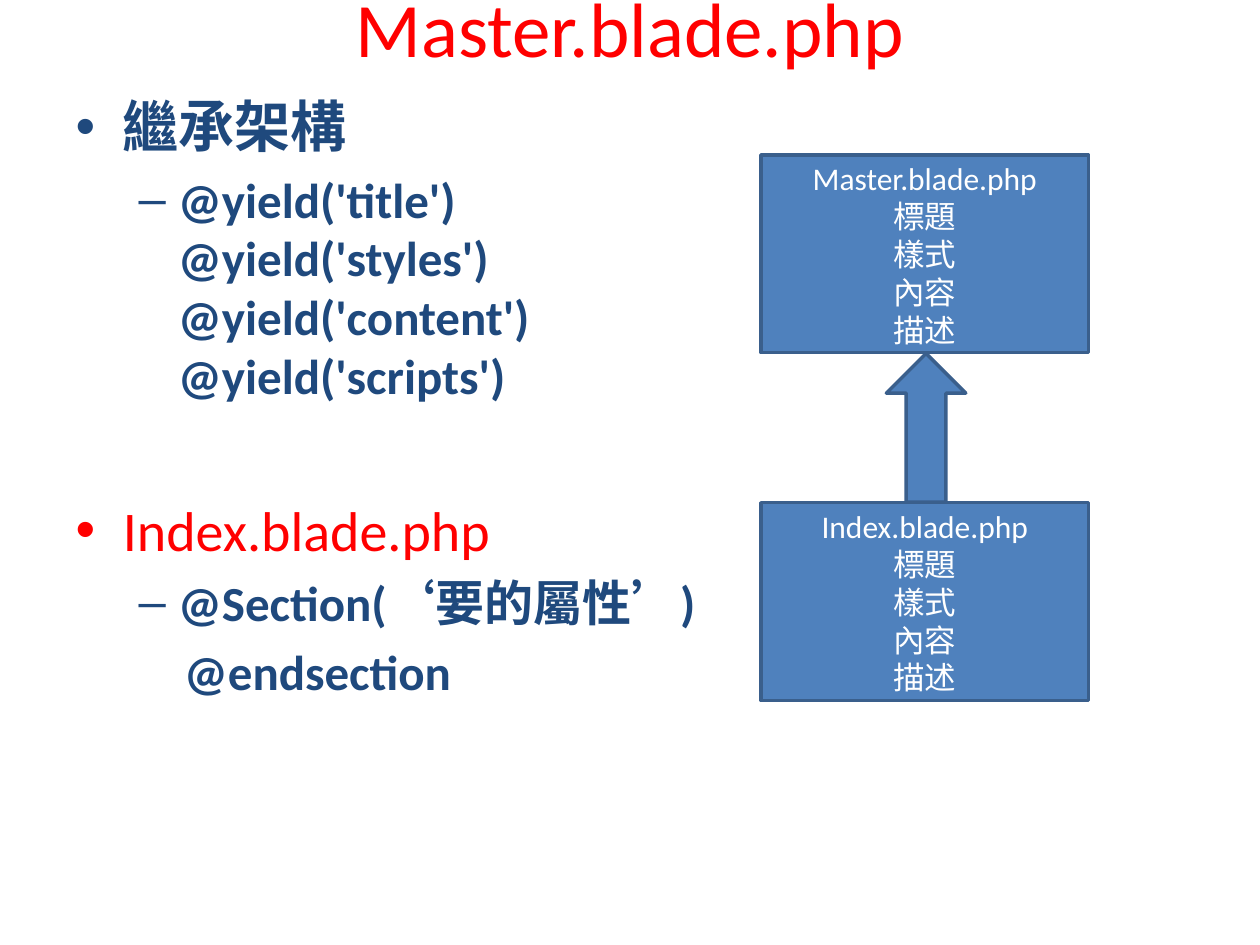
from pptx import Presentation
from pptx.dml.color import RGBColor
from pptx.enum.shapes import MSO_SHAPE as Shape
from pptx.enum.text import MSO_ANCHOR as Anchor, PP_ALIGN as Align
from pptx.util import Inches, Pt
from lxml import etree

COLORS = {"red": "FF0000", "navy": "1F497D", "blue": "4F81BD",
          "edge": "3A5F8C", "white": "FFFFFF"}
FONT, CJK_FONT = "Calibri", "DejaVu Sans Mono"

# Content
TITLE = "Master.blade.php"
YIELDS = ["title", "styles", "content", "scripts"]
OUTLINE = [  # text, level, colour, bold
    ("繼承架構", 0, "navy", True),
    ("\v".join(f"@yield('{name}')" for name in YIELDS), 1, "navy", True),
    ("Index.blade.php", 0, "red", False),
    ("@Section(‘要的屬性’)", 1, "navy", True),
    ("@endsection", 1, "navy", True),
]
SECTIONS = ["標題", "樣式", "內容", "描述"]
FILES = [("Master.blade.php", 1.23), ("Index.blade.php", 3.99)]  # name, top

# Layout in inches
BOX_LEFT, BOX_W, BOX_H = 6.04, 2.6, 1.57
ARROW_LENGTH, ARROW_W = 1.18, 0.63
SIZES = [32, 28]


def rgb(name):
    return RGBColor.from_string(COLORS[name])


def place(shape, left, top, width, height):
    shape.left, shape.top = Inches(left), Inches(top)
    shape.width, shape.height = Inches(width), Inches(height)


def style(paragraph, size, color, bold=False, font=FONT):
    paragraph.font.size, paragraph.font.bold = Pt(size), bold
    paragraph.font.name = font
    paragraph.font.color.rgb = rgb(color)


def add_block(kind, left, top, width, height):
    block = slide.shapes.add_shape(
        kind, Inches(left), Inches(top), Inches(width), Inches(height))
    block.shadow.inherit = False
    block.fill.solid()
    block.fill.fore_color.rgb = rgb("blue")
    block.line.color.rgb = rgb("edge")
    block.line.width = Pt(2)
    return block


prs = Presentation()
prs.slide_width, prs.slide_height = Inches(10), Inches(7.5)
slide = prs.slides.add_slide(prs.slide_layouts[1])

# Title
title = slide.shapes.title
place(title, 0.5, -0.41, 9, 1.25)
title.text_frame.text = TITLE
style(title.text_frame.paragraphs[0], 44, "red")

# Outline
body = slide.placeholders[1]
place(body, 0.5, 0.68, 9, 6.02)
outline = body.text_frame
for i, (text, level, color, bold) in enumerate(OUTLINE):
    item = outline.paragraphs[0] if i == 0 else outline.add_paragraph()
    item.text, item.level = text, level
    style(item, SIZES[level], color, bold)
outline.paragraphs[2].space_before = Pt(52)

# The closing directive has no bullet and lines up with the one above
closing = outline.paragraphs[-1]._p.get_or_add_pPr()
closing.set("marL", str(Inches(0.86)))
closing.set("indent", "0")
namespace = etree.QName(closing).namespace
closing.insert(0, etree.SubElement(closing, f"{{{namespace}}}buNone"))

# File boxes
for name, top in FILES:
    box = add_block(Shape.RECTANGLE, BOX_LEFT, top, BOX_W, BOX_H)
    frame = box.text_frame
    frame.vertical_anchor = Anchor.MIDDLE
    frame.text = "\n".join([name, *SECTIONS])
    for i, line in enumerate(frame.paragraphs):
        line.alignment = Align.CENTER
        style(line, 18, "white", font=CJK_FONT if i else FONT)

# Arrow from the index box up to the master box
gap_middle = (FILES[0][1] + BOX_H + FILES[1][1]) / 2
arrow = add_block(Shape.RIGHT_ARROW, BOX_LEFT + (BOX_W - ARROW_LENGTH) / 2 + 0.01,
                  gap_middle - ARROW_W / 2, ARROW_LENGTH, ARROW_W)
arrow.rotation = 270

prs.save("out.pptx")
